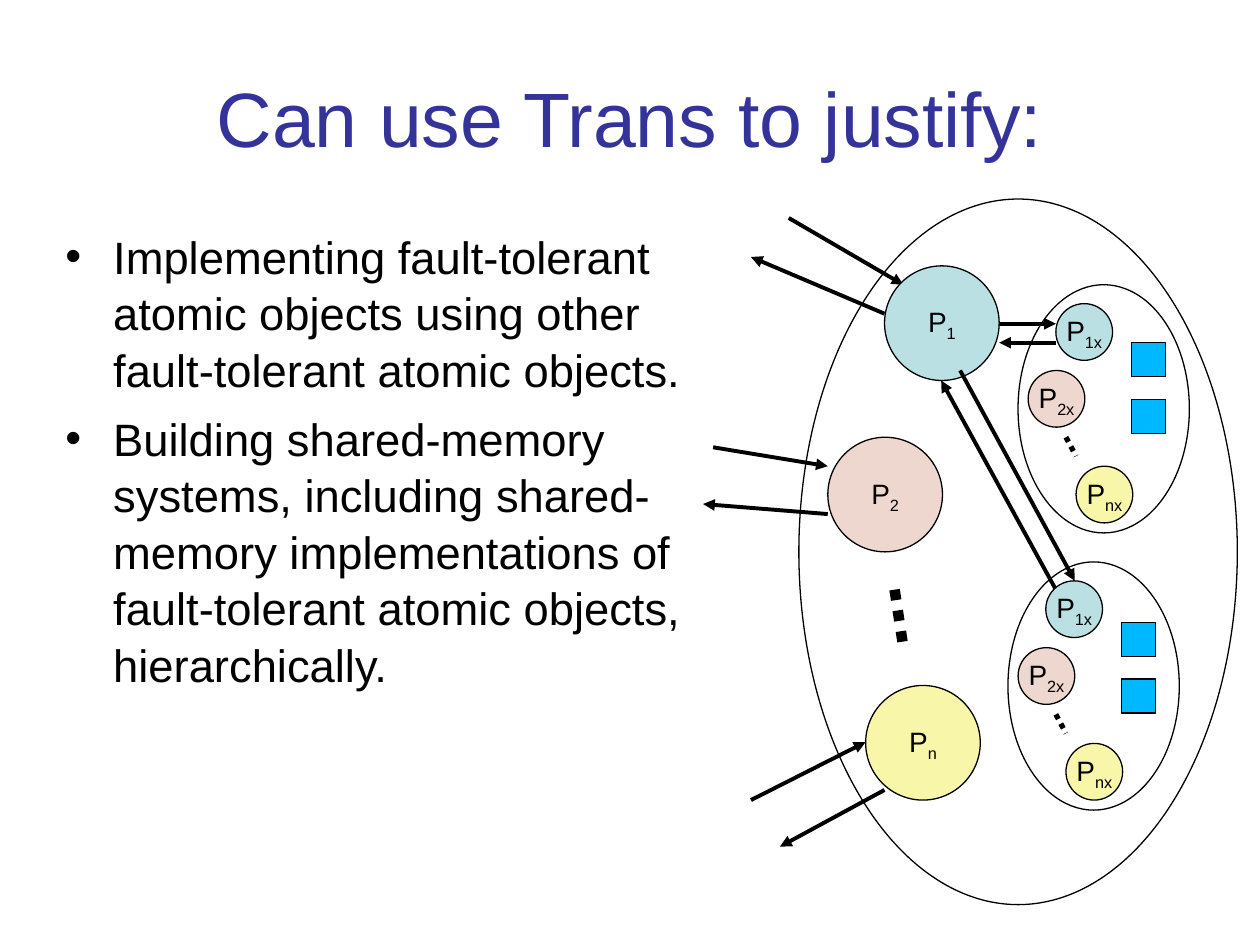
from lxml import etree
from pptx import Presentation
from pptx.dml.color import RGBColor
from pptx.enum.dml import MSO_LINE
from pptx.enum.shapes import MSO_CONNECTOR, MSO_SHAPE
from pptx.enum.text import MSO_ANCHOR, PP_ALIGN
from pptx.oxml.ns import qn
from pptx.util import Inches, Pt

STRAIGHT = MSO_CONNECTOR.STRAIGHT
OVAL, RECT = MSO_SHAPE.OVAL, MSO_SHAPE.RECTANGLE
DOTTED = MSO_LINE.ROUND_DOT
MIDDLE, CENTER = MSO_ANCHOR.MIDDLE, PP_ALIGN.CENTER

FONT = "Arial"
LINE_SPACING = 1.04
color = RGBColor.from_string
BLACK, NAVY, BLUE = "000000", "333399", "00B8FF"
TEAL, PINK, YELLOW = "BBE0E3", "EED7CE", "F8F6A8"

prs = Presentation()
prs.slide_width, prs.slide_height = Inches(10), Inches(7.5)
s = prs.slides.add_slide(prs.slide_layouts[6])


def add_node(kind, x, y, w, h, fill=None, index=None):
    """Draw an outlined shape, labelled P with a subscript if index is given."""
    sp = s.shapes.add_shape(kind, Inches(x), Inches(y), Inches(w), Inches(h))
    sp.shadow.inherit = False
    sp.line.color.rgb = color(BLACK)
    sp.line.width = Pt(0.75)
    if fill:
        sp.fill.solid()
        sp.fill.fore_color.rgb = color(fill)
    else:
        sp.fill.background()
    if index:
        tf = sp.text_frame
        tf.word_wrap = False
        tf.vertical_anchor = MIDDLE
        p = tf.paragraphs[0]
        p.alignment = CENTER
        p.line_spacing = LINE_SPACING
        for text in ("P", index):
            r = p.add_run()
            r.text = text
            r.font.name, r.font.size = FONT, Pt(16)
            r.font.color.rgb = color(BLACK)
        r.font._element.set("baseline", "-25000")


def add_line(x1, y1, x2, y2, width=2.25, dotted=False):
    """Draw an arrow pointing at (x2, y2), or a dotted line without a head."""
    c = s.shapes.add_connector(STRAIGHT, Inches(x1), Inches(y1), Inches(x2), Inches(y2))
    c.line.color.rgb = color(BLACK)
    c.line.width = Pt(width)
    if dotted:
        c.line.dash_style = DOTTED
    else:
        etree.SubElement(c.line._get_or_add_ln(), qn("a:tailEnd"), type="triangle")
    etree.SubElement(c._element.spPr, qn("a:effectLst"))


# Title
tf = s.shapes.add_textbox(Inches(0.5), Inches(0.3), Inches(9), Inches(1.25)).text_frame
tf.word_wrap = True
tf.vertical_anchor = MIDDLE
p = tf.paragraphs[0]
p.alignment = CENTER
r = p.add_run()
r.text = "Can use Trans to justify:"
r.font.name, r.font.size = FONT, Pt(44)
r.font.color.rgb = color(NAVY)

# Bullets
bullets = [
    "Implementing fault-tolerant atomic objects using other fault-tolerant atomic objects.",
    "Building shared-memory systems, including shared-memory implementations of "
    "fault-tolerant atomic objects, hierarchically.",
]
tf = s.shapes.add_textbox(Inches(0.42), Inches(1.75), Inches(5.25), Inches(4.25)).text_frame
tf.word_wrap = True
for i, text in enumerate(bullets):
    p = tf.add_paragraph() if i else tf.paragraphs[0]
    pPr = p._p.get_or_add_pPr()
    pPr.set("marL", str(Inches(0.38)))
    pPr.set("indent", str(-Inches(0.38)))
    etree.SubElement(pPr, qn("a:buFont"), typeface=FONT)
    etree.SubElement(pPr, qn("a:buChar"), char="•")
    p.line_spacing = LINE_SPACING
    if i:
        p.space_before = Pt(7)
    r = p.add_run()
    r.text = text
    r.font.name, r.font.size = FONT, Pt(25.9)
    r.font.color.rgb = color(BLACK)

# Outer system with its requests and responses
add_node(OVAL, 6.34, 1.58, 3.48, 5.6)
for ends in [
    (6.26, 1.73, 7.17, 2.26), (7.02, 2.49, 5.96, 2.04),
    (5.66, 3.55, 6.57, 3.7), (6.57, 4.08, 5.58, 4),
    (5.96, 6.35, 6.87, 5.89), (7.02, 6.27, 6.19, 6.72),
]:
    add_line(*ends)

# Main processes
for x, y, fill, index in [
    (7.02, 2.11, TEAL, "1"), (6.57, 3.47, PINK, "2"), (6.87, 5.44, YELLOW, "n"),
]:
    add_node(OVAL, x, y, 0.91, 0.91, fill, index)
add_line(7.1, 4.68, 7.17, 5.14, 6, dotted=True)

# Calls between P1 and the two inner systems
for ends in [
    (7.93, 2.57, 8.38, 2.57), (8.38, 2.72, 7.93, 2.72),
    (7.62, 2.94, 8.53, 4.61), (8.38, 4.68, 7.47, 3.02),
]:
    add_line(*ends)

# Inner systems: three processes and two objects each
for x, y, object_tops in [(8.08, 2.26, (0.46, 0.91)), (8, 4.46, (0.48, 0.93))]:
    add_node(OVAL, x, y, 1.36, 1.97)
    for dx, dy, fill, index in [
        (0.3, 0.15, TEAL, "1x"), (0.08, 0.68, PINK, "2x"), (0.46, 1.44, YELLOW, "nx"),
    ]:
        add_node(OVAL, x + dx, y + dy, 0.45, 0.45, fill, index)
    add_line(x + 0.38, y + 1.21, x + 0.46, y + 1.36, 3, dotted=True)
    for dy in object_tops:
        add_node(RECT, x + 0.9, y + dy, 0.27, 0.27, BLUE)

prs.save("out.pptx")
